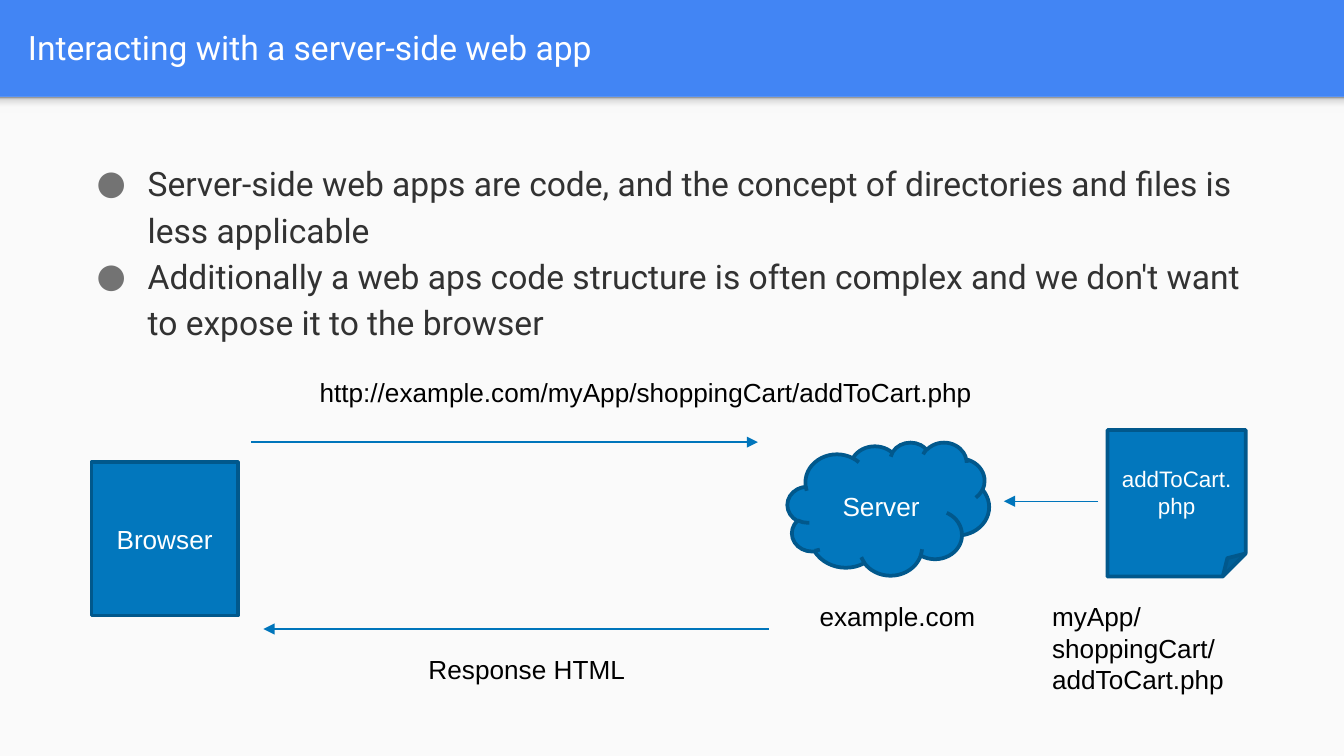
import dataclasses

import lxml.etree
import pptx
import pptx.dml.color
import pptx.enum.shapes
import pptx.enum.text
import pptx.oxml.ns
import pptx.util

Inches = pptx.util.Inches
Pt = pptx.util.Pt
Shape = pptx.enum.shapes.MSO_SHAPE
Anchor = pptx.enum.text.MSO_ANCHOR
Align = pptx.enum.text.PP_ALIGN
qn = pptx.oxml.ns.qn


@dataclasses.dataclass(frozen=True)
class Theme:
    header: str = "4285F4"
    panel: str = "FAFAFA"
    shadow: tuple = ((0, "F9F9F9"), (36, "F9F9F9"), (80, "DEDEDE"), (100, "999999"))
    node: str = "0277BD"
    outline: str = "01588C"
    arrow: str = "0075BB"
    light: str = "FFFFFF"
    body: str = "323232"
    bullet: str = "737373"
    label: str = "000000"
    text_font: str = "Roboto"
    diagram_font: str = "Arial"
    text_size: int = 18
    label_size: int = 14
    small_size: int = 12


def rgb(value):
    return pptx.dml.color.RGBColor.from_string(value)


def add_element(parent, tag, **attributes):
    return lxml.etree.SubElement(parent, qn(tag), **attributes)


class SlideBuilder:
    def __init__(self, slide, theme):
        self.slide = slide
        self.theme = theme

    def background(self, color):
        fill = self.slide.background.fill
        fill.solid()
        fill.fore_color.rgb = rgb(color)

    def style(self, paragraph, font, size, color):
        paragraph.font.name = font
        paragraph.font.size = Pt(size)
        paragraph.font.color.rgb = rgb(color)

    def block(self, preset, left, top, width, height, color):
        block = self.slide.shapes.add_shape(
            preset, Inches(left), Inches(top), Inches(width), Inches(height))
        block.shadow.inherit = False
        block.fill.solid()
        block.fill.fore_color.rgb = rgb(color)
        block.line.fill.background()
        return block

    def header_shadow(self, left, top, width, height):
        strip = self.block(Shape.RECTANGLE, left, top, width, height, self.theme.panel)
        strip.fill.gradient()
        strip.fill.gradient_angle = 90
        stops = strip._element.spPr.find(".//" + qn("a:gsLst"))
        for stop in list(stops):
            stops.remove(stop)
        for position, color in self.theme.shadow:
            stop = add_element(stops, "a:gs", pos=str(position * 1000))
            add_element(stop, "a:srgbClr", val=color)

    def node(self, preset, text, left, top, width, height, size):
        node = self.block(preset, left, top, width, height, self.theme.node)
        node.line.color.rgb = rgb(self.theme.outline)
        node.line.width = Pt(2)
        frame = node.text_frame
        frame.word_wrap = True
        frame.vertical_anchor = Anchor.MIDDLE
        paragraph = frame.paragraphs[0]
        paragraph.text = text
        paragraph.alignment = Align.CENTER
        self.style(paragraph, self.theme.diagram_font, size, self.theme.light)

    def text_frame(self, left, top, width, height, wrap=True):
        box = self.slide.shapes.add_textbox(
            Inches(left), Inches(top), Inches(width), Inches(height))
        box.text_frame.word_wrap = wrap
        return box.text_frame

    def title(self, text, left, top, width, height):
        frame = self.text_frame(left, top, width, height)
        frame.margin_top = frame.margin_bottom = Inches(0.1)
        frame.vertical_anchor = Anchor.MIDDLE
        frame.text = text
        self.style(frame.paragraphs[0], self.theme.text_font,
                   self.theme.text_size, self.theme.light)

    def bullets(self, points, left, top, width, height):
        frame = self.text_frame(left, top, width, height)
        frame.margin_top = frame.margin_bottom = Inches(0.1)
        for index, point in enumerate(points):
            paragraph = frame.add_paragraph() if index else frame.paragraphs[0]
            paragraph.text = point
            paragraph.line_spacing = 1.15
            properties = paragraph._p.get_or_add_pPr()
            properties.set("marL", str(Inches(0.5)))
            properties.set("indent", str(Inches(-0.38)))
            bullet_color = add_element(properties, "a:buClr")
            add_element(bullet_color, "a:srgbClr", val=self.theme.bullet)
            add_element(properties, "a:buFont", typeface=self.theme.text_font)
            add_element(properties, "a:buChar", char="●")
            self.style(paragraph, self.theme.text_font,
                       self.theme.text_size, self.theme.body)

    def label(self, text, left, top, width, height, wrap=False):
        frame = self.text_frame(left, top, width, height, wrap)
        frame.auto_size = pptx.enum.text.MSO_AUTO_SIZE.SHAPE_TO_FIT_TEXT
        frame.text = text
        self.style(frame.paragraphs[0], self.theme.diagram_font,
                   self.theme.label_size, self.theme.label)

    def arrow(self, start, end, y):
        arrow = self.slide.shapes.add_connector(
            pptx.enum.shapes.MSO_CONNECTOR.STRAIGHT,
            Inches(start), Inches(y), Inches(end), Inches(y))
        arrow.line.color.rgb = rgb(self.theme.arrow)
        arrow.line.width = Pt(0.75)
        add_element(arrow.line._get_or_add_ln(), "a:tailEnd", type="triangle")
        add_element(arrow._element.spPr, "a:effectLst")


def main():
    presentation = pptx.Presentation()
    presentation.slide_width = Inches(10)
    presentation.slide_height = presentation.slide_width * 9 // 16
    theme = Theme()
    page = SlideBuilder(
        presentation.slides.add_slide(presentation.slide_layouts[6]), theme)

    header_height = 0.72
    page.background(theme.header)
    page.block(Shape.RECTANGLE, 0, header_height, 10, 4.91, theme.panel)
    page.header_shadow(0, header_height, 10, 0.12)
    page.title("Interacting with a server-side web app", 0.11, 0.02, 9.65, 0.66)
    page.bullets([
        "Server-side web apps are code, and the concept of directories and files "
        "is less applicable",
        "Additionally a web aps code structure is often complex and we don't want "
        "to expose it to the browser",
    ], 0.5, 1.07, 8.99, 4.06)

    page.node(Shape.CLOUD, "Server", 5.86, 3.29, 1.5, 0.99, theme.label_size)
    page.label("example.com", 6, 4.42, 1.37, 0.34)
    page.label("myApp/shoppingCart/addToCart.php", 7.73, 4.42, 2.04, 0.57, wrap=True)
    page.node(Shape.FOLDED_CORNER, "addToCart.php", 8.24, 3.2, 1.03, 1.09,
              theme.small_size)
    page.arrow(8.17, 7.47, 3.73)

    page.node(Shape.RECTANGLE, "Browser", 0.68, 3.44, 1.09, 1.14, theme.label_size)
    page.arrow(1.87, 5.64, 3.29)
    page.label("http://example.com/myApp/shoppingCart/addToCart.php",
               2.28, 2.75, 5.1, 0.34)
    page.arrow(5.72, 1.96, 4.68)
    page.label("Response HTML", 3.09, 4.81, 1.67, 0.34)

    presentation.save("out.pptx")


if __name__ == "__main__":
    main()
